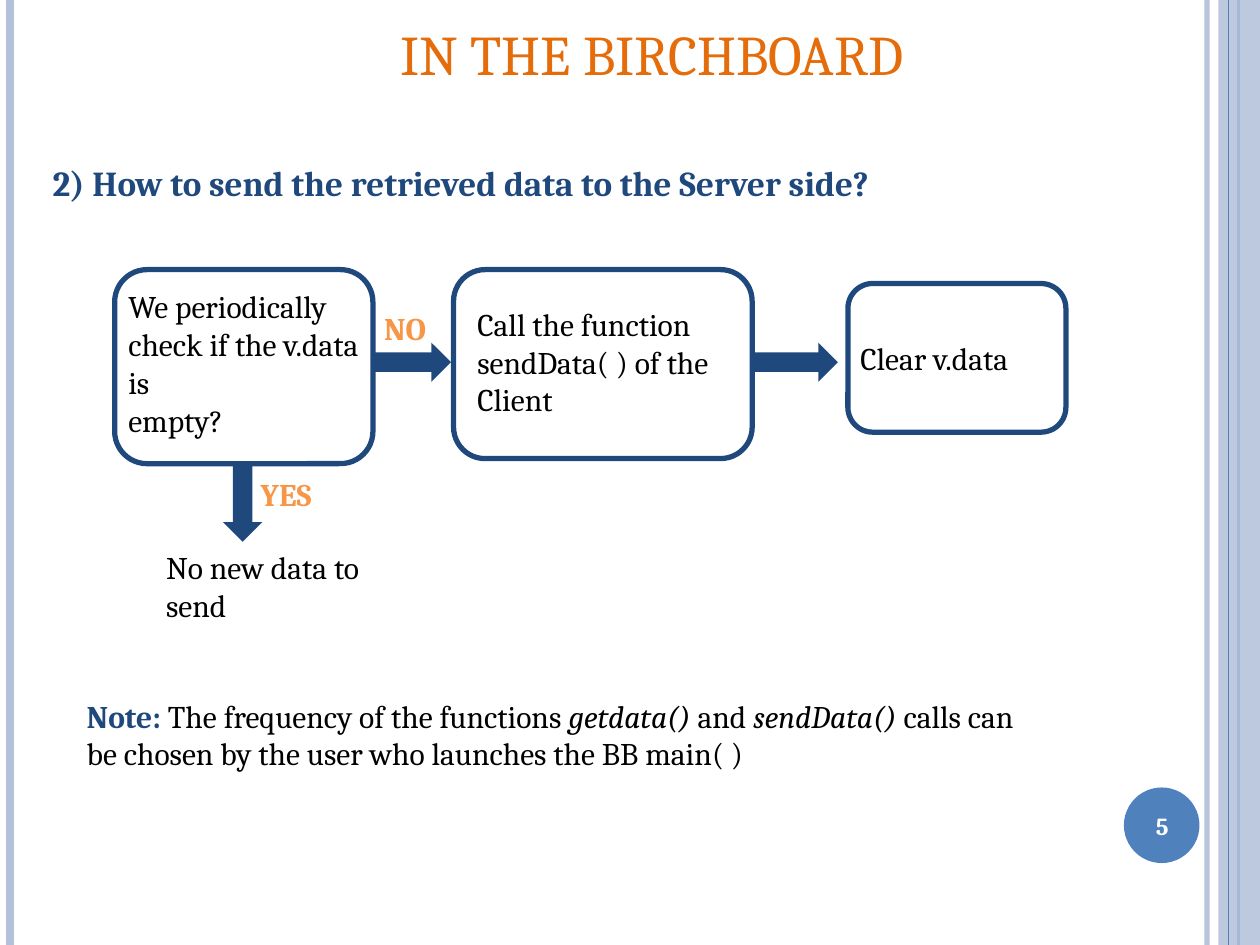
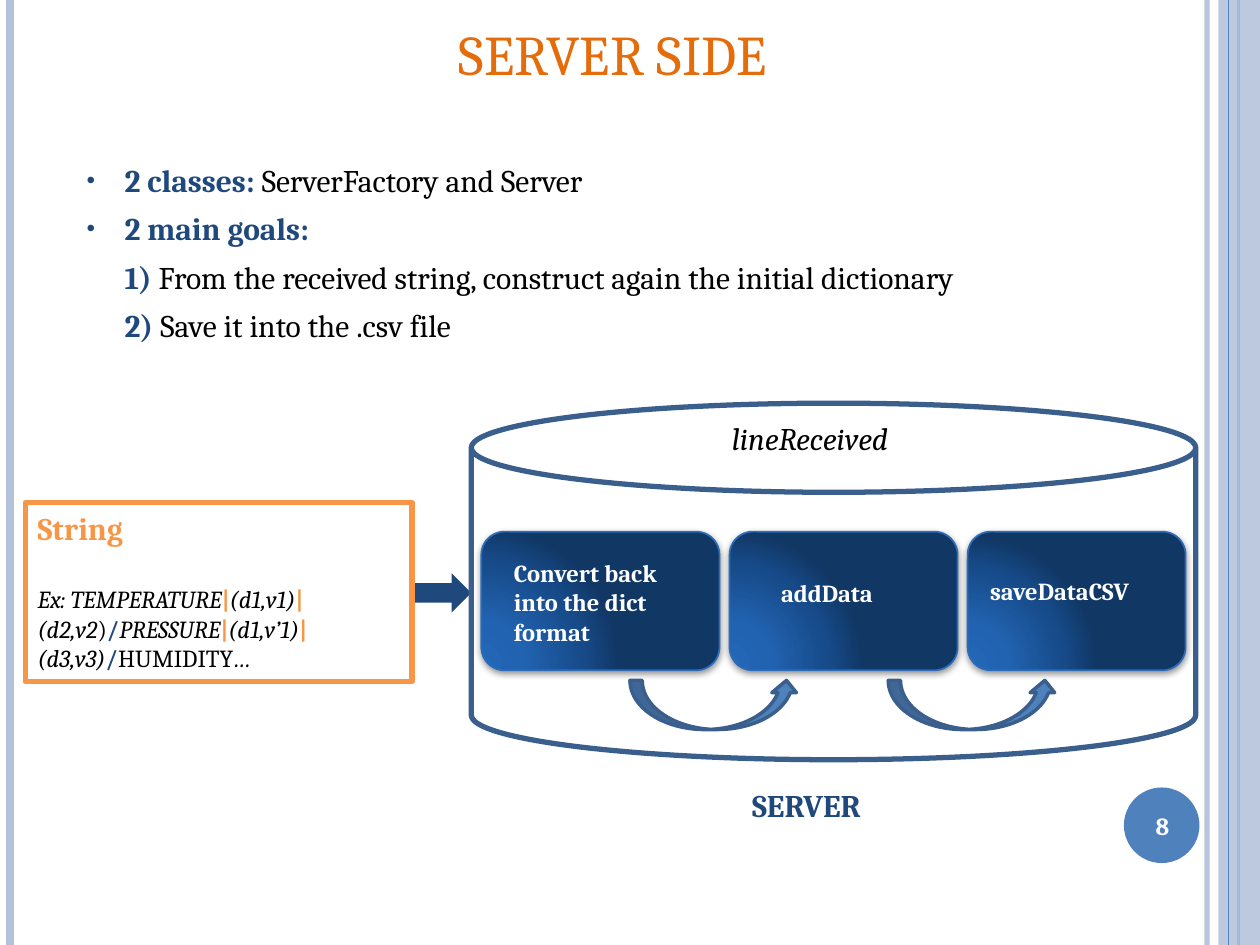
from lxml import etree
from pptx import Presentation
from pptx.dml.color import RGBColor
from pptx.enum.shapes import MSO_CONNECTOR, MSO_SHAPE
from pptx.enum.text import MSO_ANCHOR, PP_ALIGN
from pptx.oxml import parse_xml
from pptx.oxml.ns import nsdecls, qn
from pptx.util import Inches, Pt

RECT, ROUND, OVAL = MSO_SHAPE.RECTANGLE, MSO_SHAPE.ROUNDED_RECTANGLE, MSO_SHAPE.OVAL
ARROW, CURVED, CAN = MSO_SHAPE.RIGHT_ARROW, MSO_SHAPE.CURVED_UP_ARROW, MSO_SHAPE.CAN
STRAIGHT = MSO_CONNECTOR.STRAIGHT
LEFT, CENTER = PP_ALIGN.LEFT, PP_ALIGN.CENTER
TOP, MIDDLE = MSO_ANCHOR.TOP, MSO_ANCHOR.MIDDLE

FONT = "Cambria"
NAVY = RGBColor(0x1F, 0x49, 0x7D)
BLUE = RGBColor(0x4F, 0x81, 0xBD)
STEEL = RGBColor(0x3A, 0x5F, 0x8C)
PALE = RGBColor(0xB3, 0xC1, 0xDB)
EDGE = RGBColor(0x2C, 0x6C, 0xB9)
TITLE = RGBColor(0xE4, 0x6C, 0x0A)
ORANGE = RGBColor(0xF7, 0x96, 0x46)
BLACK = RGBColor(0, 0, 0)
WHITE = RGBColor(0xFF, 0xFF, 0xFF)

CARD_FILL = f"""<a:gradFill {nsdecls("a")} rotWithShape="1"><a:gsLst>
<a:gs pos="0"><a:srgbClr val="2367B8"/></a:gs>
<a:gs pos="30000"><a:srgbClr val="2263B1"/></a:gs>
<a:gs pos="75000"><a:srgbClr val="164A88"/></a:gs>
<a:gs pos="100000"><a:srgbClr val="113765"/></a:gs></a:gsLst>
<a:path path="circle"><a:fillToRect l="5000" t="100000" r="120000" b="10000"/></a:path>
</a:gradFill>"""
CARD_SHADOW = f"""<a:outerShdw {nsdecls("a")} blurRad="50800" dist="20320" dir="5400000"
rotWithShape="0"><a:srgbClr val="000000"><a:alpha val="42000"/></a:srgbClr></a:outerShdw>"""

prs = Presentation()
prs.slide_width, prs.slide_height = Inches(10), Inches(7.5)
# Grid of 100 columns by 75 rows; every place below is in grid units
COL, ROW = prs.slide_width / 100, prs.slide_height / 75


def add_shape(s, kind, at, fill=None, line=None, width=3):
    x, y, w, h = at
    sp = s.shapes.add_shape(kind, int(x * COL), int(y * ROW), int(w * COL), int(h * ROW))
    sp.shadow.inherit = False
    if fill is None:
        sp.fill.background()
    else:
        sp.fill.solid()
        sp.fill.fore_color.rgb = fill
    if line is None:
        sp.line.fill.background()
    else:
        sp.line.color.rgb = line
        sp.line.width = Pt(width)
    return sp


def add_text(s, at, paragraphs, size=18, align=LEFT, anchor=TOP):
    """Each paragraph is a list of runs: (text, colour, style letters b and i)."""
    x, y, w, h = at
    box = s.shapes.add_textbox(int(x * COL), int(y * ROW), int(w * COL), int(h * ROW))
    tf = box.text_frame
    tf.word_wrap = True
    tf.vertical_anchor = anchor
    for i, runs in enumerate(paragraphs):
        p = tf.add_paragraph() if i else tf.paragraphs[0]
        p.alignment = align
        p.font.name, p.font.size = FONT, Pt(size)
        for text, color, style in runs:
            r = p.add_run()
            r.text = text
            r.font.color.rgb = color
            r.font.bold, r.font.italic = "b" in style, "i" in style
    return tf


# Shared frame: side lines, right band, page number, title
slides = []
for title, title_x, number in [("IN THE BIRCHBOARD", 23.2, "5"), ("SERVER SIDE", 20.1, "8")]:
    s = prs.slides.add_slide(prs.slide_layouts[6])
    slides.append(s)
    band = add_shape(s, RECT, (96.7, 0, 3.3, 75), PALE)
    rules = []
    for x, color, width in [(95.8, PALE, 3), (0.8, PALE, 4.5), (98.3, BLUE, 0.75),
                            (97.5, BLUE, 1.5)]:
        # The thin and the thick blue rule swap sides of the band below
        if color == BLUE:
            width = 1.5 if x > 98 else 0.75
        rule = s.shapes.add_connector(STRAIGHT, int(x * COL), 0, int(x * COL), prs.slide_height)
        rule.line.color.rgb = color
        rule.line.width = Pt(width)
        etree.SubElement(rule._element.spPr, qn("a:effectLst"))
        rules.append(rule)
    # The band covers the thick blue rule, so that one goes behind it
    band._element.addprevious(rules[2]._element)
    for sp, alpha in [(band, "87000"), (rules[0], "93000")]:
        clr = next(sp._element.spPr.iter(qn("a:srgbClr")))
        etree.SubElement(clr, qn("a:alpha")).set("val", alpha)
    add_shape(s, OVAL, (89.2, 62.5, 6, 6), BLUE)
    add_text(s, (88.9, 62.7, 6.7, 5.7), [[(number, WHITE, "b")]], 14, CENTER, MIDDLE)
    add_text(s, (title_x, 1.1, 57.1, 6.4), [[(title, TITLE, "")]], 32, CENTER)
board, server = slides

# Slide 1: question and flow chart
add_text(board, (3.2, 12.3, 85.4, 4.4),
         [[("2) How to send the retrieved data to the Server side?", NAVY, "b")]], 20)
for at in [(9.1, 21.4, 20.5, 15.4), (36, 21.4, 23.7, 15), (67.3, 22.5, 17.3, 11.8)]:
    add_shape(board, ROUND, at, line=NAVY)
for at, angle in [((29.5, 27.2, 6.3, 3.1), 0), ((59.7, 27.2, 6.8, 3.1), 0),
                  ((16.1, 38.3, 6.3, 3.1), 90)]:
    add_shape(board, ARROW, at, NAVY).rotation = angle
for at, lines, color, style in [
    ((9.2, 22.3, 20.3, 13.1), ["We periodically check if the v.data is", "empty?"], BLACK, ""),
    ((36.9, 23.7, 22.8, 10.1), ["Call the function sendData( ) of the Client"], BLACK, ""),
    ((67.3, 26.4, 17.3, 4), ["Clear v.data"], BLACK, ""),
    ((12.2, 43, 17.3, 7.1), ["No new data to send"], BLACK, ""),
    ((19.7, 37.2, 7.6, 4), ["YES"], ORANGE, "b"),
    ((29.5, 24, 6.5, 4), ["NO"], ORANGE, "b"),
]:
    add_text(board, at, [[(line, color, style)] for line in lines])

# Slide 1: note
add_text(board, (5.9, 54.8, 78, 7.1), [[
    ("Note: ", NAVY, "b"), ("The frequency of the functions ", BLACK, ""),
    ("getdata() ", BLACK, "i"), ("and ", BLACK, ""), ("sendData() ", BLACK, "i"),
    ("calls can be chosen by the user who launches the BB main( )", BLACK, "")]])

# Slide 2: classes and goals
tf = add_text(server, (5.9, 12.3, 81.7, 17), [
    [("2 classes: ", NAVY, "b"), ("ServerFactory and Server", BLACK, "")],
    [("2 main goals:", NAVY, "b")],
    [("1) ", NAVY, "b"),
     ("From the received string, construct again the initial dictionary", BLACK, "")],
    [("2) ", NAVY, "b"), ("Save it into the .csv file", BLACK, "")]])
for i, p in enumerate(tf.paragraphs):
    p.space_before = Pt(6)
    pPr = p._p.get_or_add_pPr()
    pPr.set("marL", str(Inches(0.3)))
    if i < 2:
        pPr.set("indent", str(-Inches(0.3)))
        bullet = [f'<a:buClr {nsdecls("a")}><a:srgbClr val="{NAVY}"/></a:buClr>',
                  f'<a:buSzPct {nsdecls("a")} val="77000"/>',
                  f'<a:buFont {nsdecls("a")} typeface="Arial"/>',
                  f'<a:buChar {nsdecls("a")} char="•"/>']
        for xml in bullet:
            pPr.find(qn("a:defRPr")).addprevious(parse_xml(xml))

# Slide 2: incoming string
add_shape(server, ARROW, (32.7, 45.5, 4.7, 3.1), NAVY)
add_shape(server, RECT, (2, 39.9, 30.7, 14.2), line=ORANGE)
bar, slash = ("|", ORANGE, "b"), ("/", NAVY, "b")
tf = add_text(server, (2, 39.9, 29.9, 14.1), [
    [("String", ORANGE, "b")],
    [("Ex: TEMPERATURE", BLACK, "i"), bar, ("(d1,v1)", BLACK, "i"), bar],
    [("(d2,v2", BLACK, "i"), (")", BLACK, ""), slash, ("PRESSURE", BLACK, "i"), bar,
     ("(d1,v’1)", BLACK, "i"), bar],
    [("(d3,v3)", BLACK, "i"), slash, ("HUMIDITY", BLACK, ""), ("…", BLACK, "i")]], 14)
tf.paragraphs[0].font.size = Pt(18)
tf.paragraphs[1].space_before = Pt(21.5)

# Slide 2: server cylinder with its three steps
add_shape(server, CAN, (37.4, 32, 57.5, 28.3), line=STEEL)
for x, w in [(38.2, 18.9), (57.9, 18.1), (76.8, 17.3)]:
    card = add_shape(server, ROUND, (x, 42.2, w, 11), line=EDGE, width=1)
    spPr = card._element.spPr
    spPr.replace(spPr.find(qn("a:noFill")), parse_xml(CARD_FILL))
    spPr.find(qn("a:effectLst")).append(parse_xml(CARD_SHADOW))
for x in (50, 70.5):
    add_shape(server, CURVED, (x, 54, 13.4, 3.9), BLUE, STEEL, 2)
for at, lines in [((39.8, 43.8, 16.5, 8.1), ["Convert back into the dict", "format"]),
                  ((61, 45.4, 16.5, 3.4), ["addData"]),
                  ((77.6, 45.2, 16.5, 3.4), ["saveDataCSV"])]:
    add_text(server, at, [[(line, WHITE, "b")] for line in lines], 14)
add_text(server, (57.1, 32.8, 17.3, 4), [[("lineReceived", BLACK, "i")]])
add_text(server, (58.7, 61.9, 14.2, 4), [[("SERVER", NAVY, "b")]])

prs.save("out.pptx")
